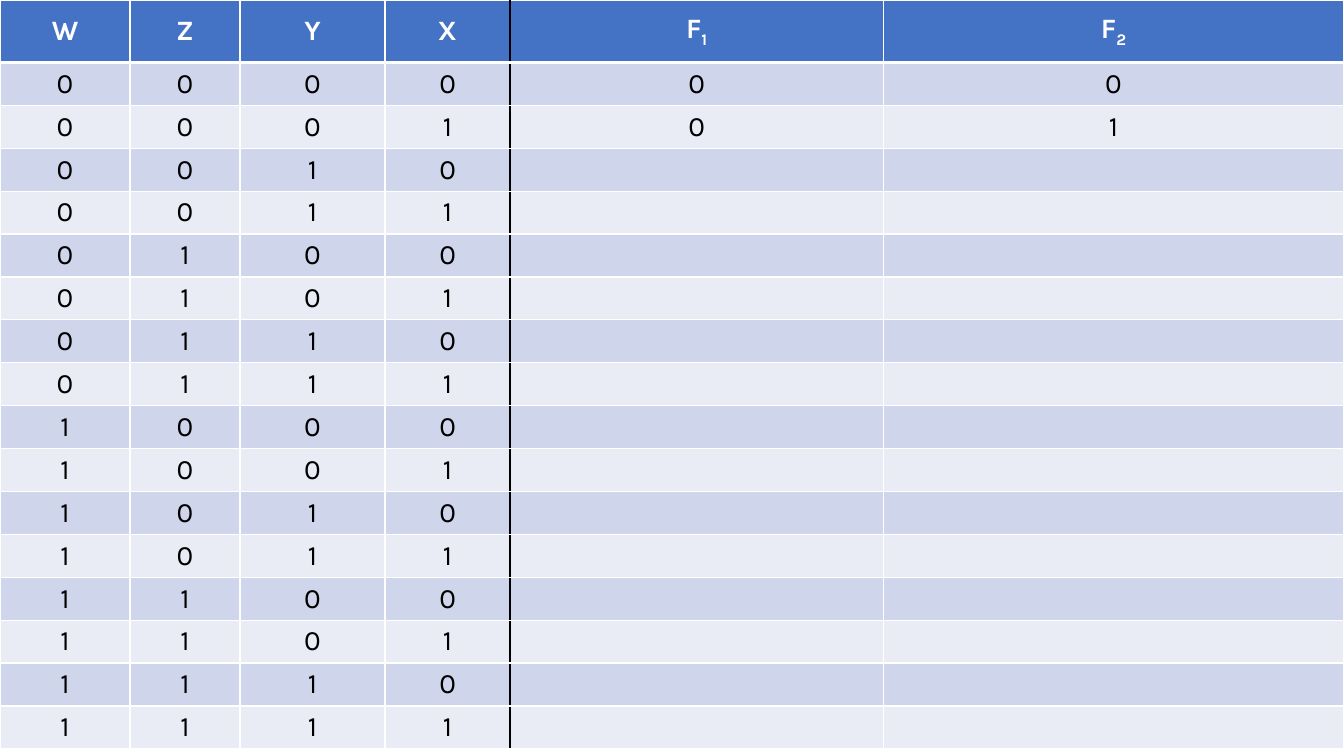
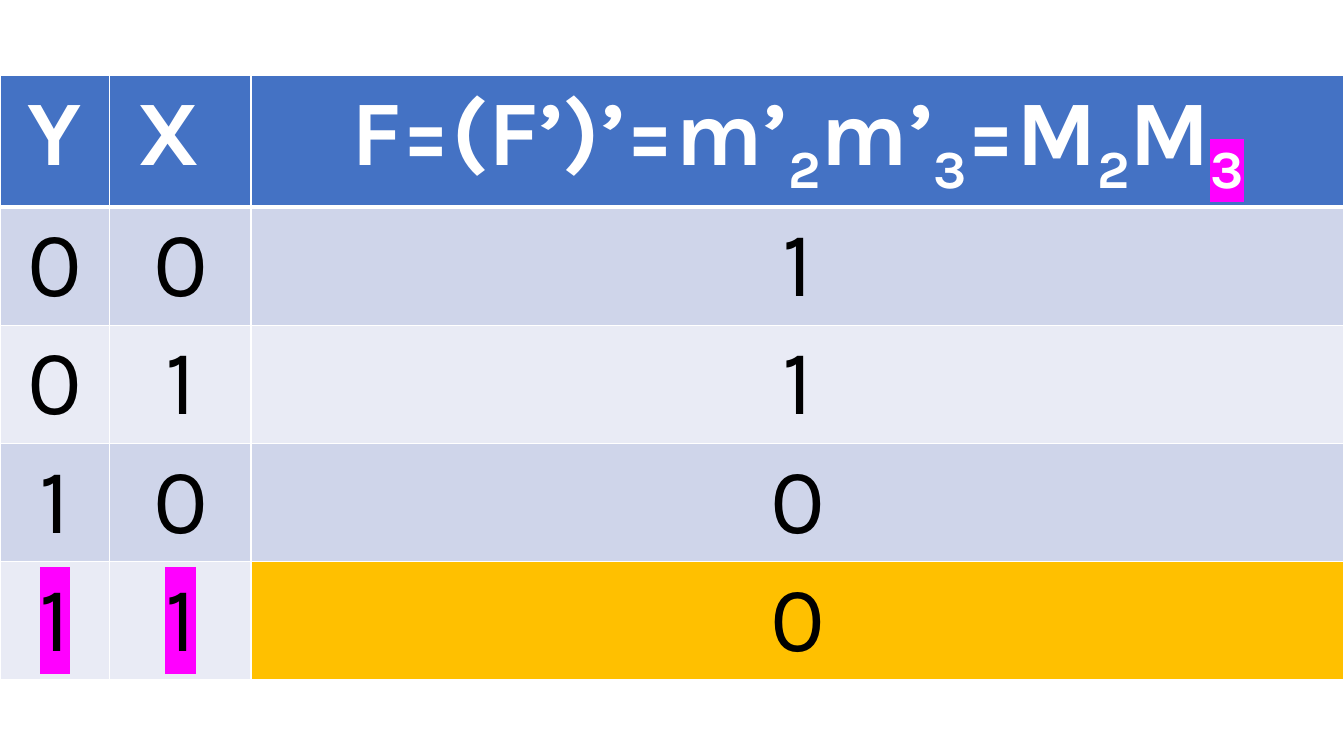
"""Build two truth-table slides."""
import itertools

import lxml.etree
import pptx
import pptx.dml.color
import pptx.enum.text
import pptx.oxml.ns
import pptx.util

PX = 9144
FONT = "Karla"
WHITE, BLACK, HEADER, MARKER, RESULT = "FFFFFF", "000000", "4472C4", "FF00FF", "FFC000"
BANDS = ("E9EBF5", "CFD5EA")

RESULTS = {"0000": ("0", "0"), "0001": ("0", "1")}
INPUTS = ["".join(bits) for bits in itertools.product("01", repeat=4)]

TABLES = [
    {
        "top": 0,
        "columns": (129, 109, 144, 124, 370, 457),
        "heights": (62, 42),
        "size": 20,
        "header_inset": 0,
        "anchor": pptx.enum.text.MSO_ANCHOR.MIDDLE,
        "divider": 4,
        "rows": [("W", "Z", "Y", "X", "F1", "F2")]
        + [(*bits, *RESULTS.get(bits, ("", ""))) for bits in INPUTS],
        "marked": (),
        "fills": {},
    },
    {
        "top": 75,
        "columns": (109, 140, 1084),
        "heights": (130, 117),
        "size": 66,
        "header_inset": 5,
        "anchor": pptx.enum.text.MSO_ANCHOR.TOP,
        "divider": None,
        "rows": [("Y", "X ", "F=(F’)’=m’2m’3=M2M3"), *("001", "011", "100", "110")],
        "marked": ((0, 2), (4, 0), (4, 1)),
        "fills": {(4, 2): RESULT},
    },
]


def px(length):
    return pptx.util.Emu(length * PX)


def rgb(value):
    return pptx.dml.color.RGBColor.from_string(value)


def add_element(parent, tag, **attributes):
    return lxml.etree.SubElement(parent, pptx.oxml.ns.qn(tag), **attributes)


def set_border(cell, side, color, width):
    line = add_element(cell._tc.get_or_add_tcPr(), f"a:ln{side}", w=str(pptx.util.Pt(width)))
    add_element(add_element(line, "a:solidFill"), "a:srgbClr", val=color)


def highlight(span):
    properties = span._r.get_or_add_rPr()
    mark = add_element(properties, "a:highlight")
    add_element(mark, "a:srgbClr", val=MARKER)
    properties.find(pptx.oxml.ns.qn("a:solidFill")).addnext(mark)


def write(cell, text, size, is_header, is_marked):
    para = cell.text_frame.paragraphs[0]
    para.alignment = pptx.enum.text.PP_ALIGN.CENTER
    span = None
    for is_digit, letters in itertools.groupby(text, str.isdigit):
        span = para.add_run()
        span.text = "".join(letters)
        span.font.name = FONT
        span.font.size = pptx.util.Pt(size)
        span.font.bold = is_header
        span.font.color.rgb = rgb(WHITE if is_header else BLACK)
        if is_header and is_digit:
            span._r.get_or_add_rPr().set("baseline", "-25000")
    if is_marked:
        highlight(span)


def style_cell(cell, row, column, design):
    is_header = row == 0
    divider = design["divider"]
    set_border(cell, "L", BLACK if column == divider else WHITE, 1)
    set_border(cell, "R", BLACK if column + 1 == divider else WHITE, 1)
    set_border(cell, "T", WHITE, 3 if row == 1 else 1)
    set_border(cell, "B", WHITE, 3 if is_header else 1)
    cell.fill.solid()
    band = HEADER if is_header else BANDS[row % 2]
    cell.fill.fore_color.rgb = rgb(design["fills"].get((row, column), band))
    cell.vertical_anchor = design["anchor"]
    if is_header:
        cell.margin_top = cell.margin_bottom = px(design["header_inset"])


def add_truth_table(page, design):
    rows, widths = design["rows"], design["columns"]
    header_height, body_height = design["heights"]
    height = header_height + body_height * (len(rows) - 1)
    table = page.shapes.add_table(
        len(rows), len(widths), 0, px(design["top"]), px(sum(widths)), px(height)
    ).table
    table.horz_banding = table.first_row = False
    for column, width in zip(table.columns, widths):
        column.width = px(width)
    for row, texts in enumerate(rows):
        table.rows[row].height = px(body_height if row else header_height)
        for column, text in enumerate(texts):
            cell = table.cell(row, column)
            style_cell(cell, row, column, design)
            write(cell, text, design["size"], row == 0, (row, column) in design["marked"])


def main():
    deck = pptx.Presentation()
    deck.slide_width, deck.slide_height = px(1333), px(750)
    for design in TABLES:
        add_truth_table(deck.slides.add_slide(deck.slide_layouts[6]), design)
    deck.save("out.pptx")


if __name__ == "__main__":
    main()
